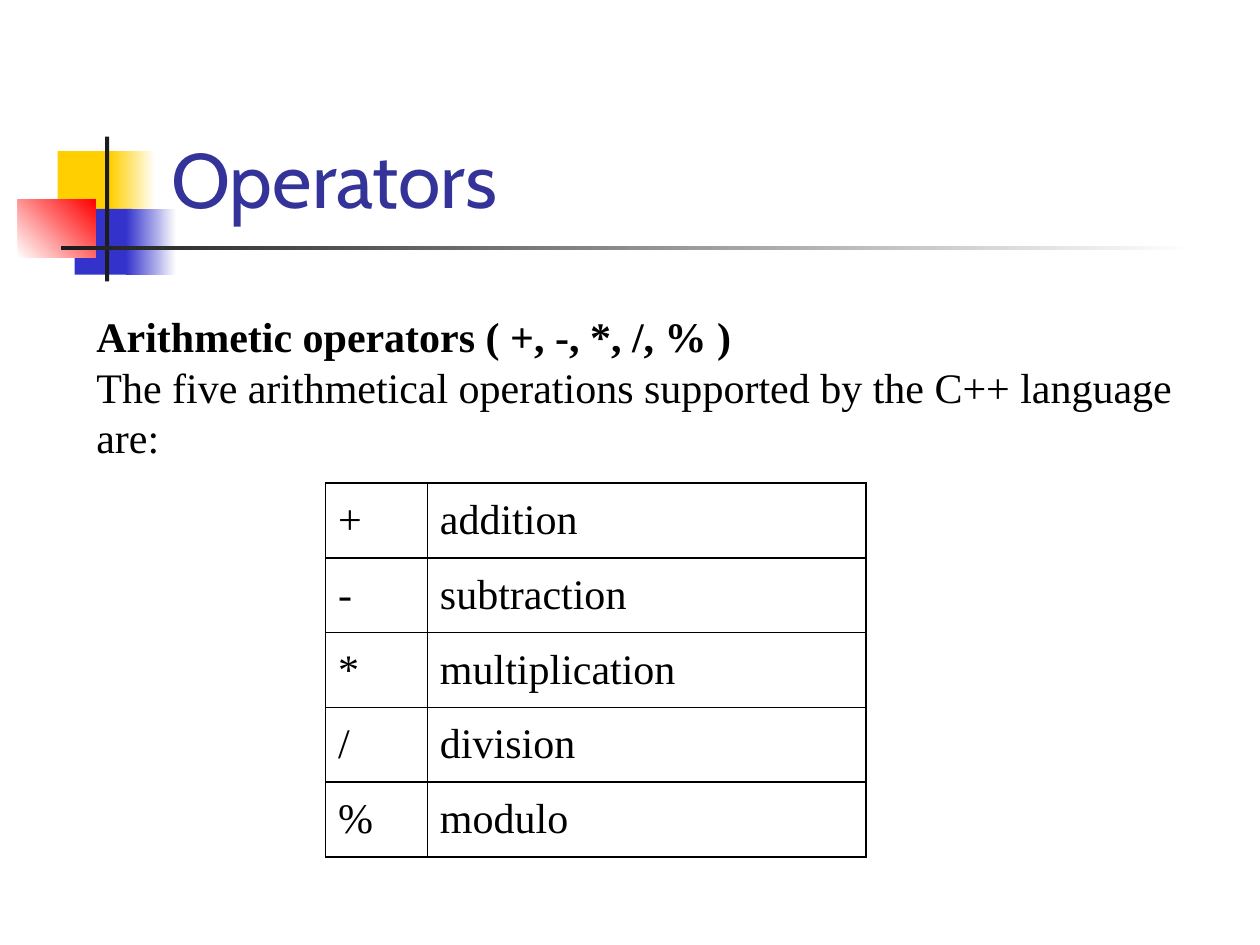
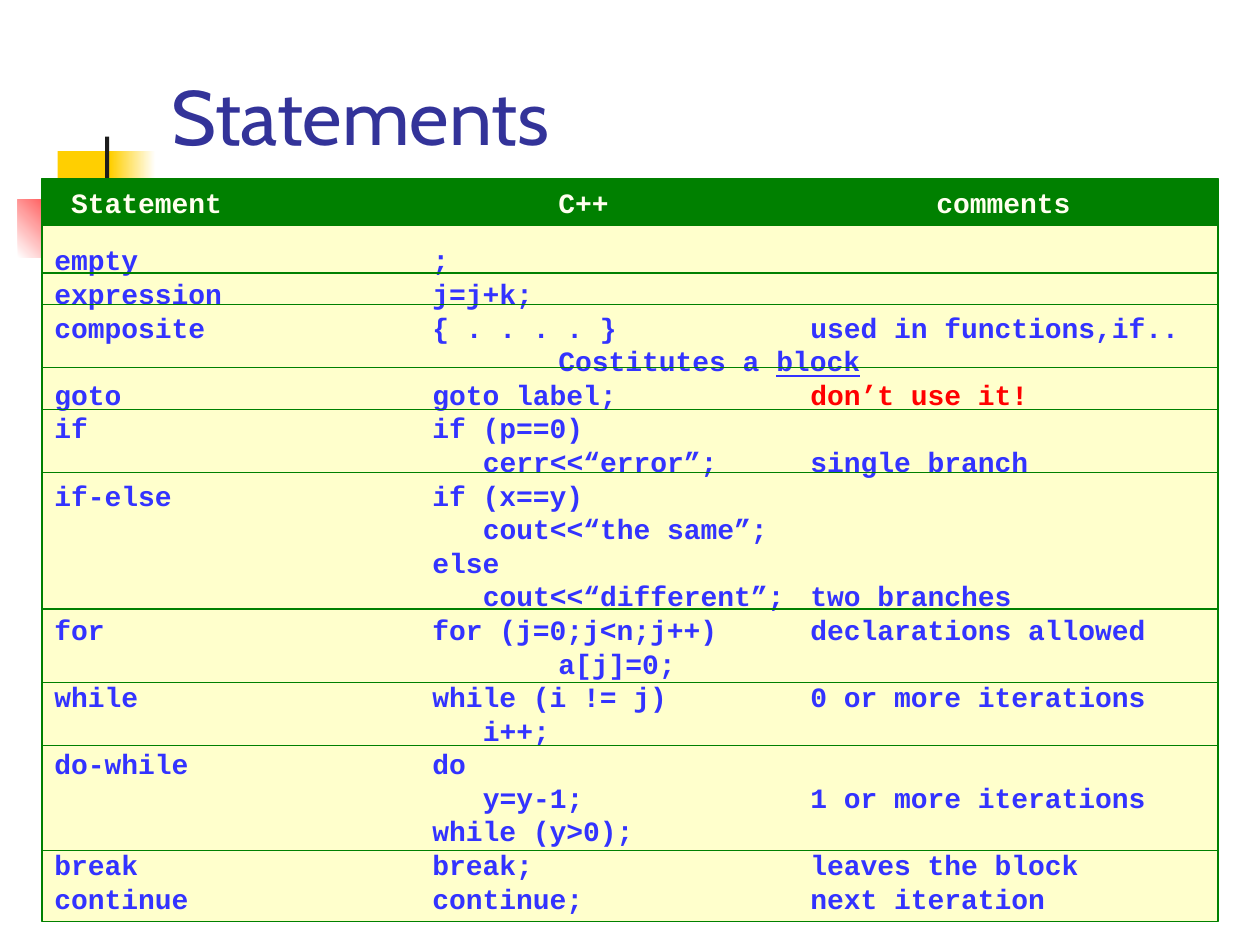
"""Build two slides on C++ operators and statements, on a grid of 120 by 90 cells."""
from dataclasses import dataclass

from lxml import etree
from pptx import Presentation
from pptx import util as u
from pptx.dml.color import RGBColor
from pptx.enum import shapes, text
from pptx.oxml.ns import qn

COLS, ROWS = 120, 90
GOLD, BLUE, RED, DARK, WHITE = "FFCF01", "3333CC", "FF0000", "1C1C1C", "FFFFFF"
INK, NAVY, CODE = "000000", "333399", "3333FF"
GREEN, CREAM, PALE = "008000", "FFFFCC", "FFFFEF"
SERIF, MONO, HEAD = "Times New Roman", "Courier New", "Cabin"


@dataclass(frozen=True)
class Box:
    left: float
    top: float
    width: float
    height: float


@dataclass(frozen=True)
class Block:
    box: Box
    hue: str
    fade: str = ""
    angle: int = 0
    lower: bool = False


@dataclass(frozen=True)
class Style:
    font: str
    size: int
    hue: str
    bold: bool = False
    under: bool = False


@dataclass(frozen=True)
class Line:
    name: str = ""
    code: str = ""
    note: str = ""
    dent: float = 0
    tail: str = ""
    hue: str = CODE


BLOCKS = [
    Block(Box(5.5, 14.4, 5.8, 6.25), GOLD),
    Block(Box(10.5, 14.4, 4.3, 6.25), GOLD, WHITE),
    Block(Box(7.1, 19.9, 5.5, 6.25), BLUE, lower=True),
    Block(Box(12, 19.9, 4.8, 6.25), BLUE, WHITE, lower=True),
    Block(Box(1.7, 19, 7.4, 5.55), WHITE, RED, 45),
    Block(Box(10, 13, 0.4, 13.8), DARK),
    Block(Box(5.8, 23.4, 108, 0.4), DARK, WHITE, lower=True),
]
SIGNS = [
    ("+", "addition"), ("-", "subtraction"), ("*", "multiplication"),
    ("/", "division"), ("%", "modulo"),
]
STEP, DEEP = 4.8, 12
LINES = [
    Line("empty", ";"),
    Line("expression", "j=j+k;"),
    Line("composite", "{ . . . . }", "used in functions,if.."),
    Line(code="Costitutes a ", dent=DEEP, tail="block"),
    Line("goto", "goto label;", "don’t use it!", hue=RED),
    Line("if", "if (p==0)"),
    Line(code="cerr<<“error”;", note="single branch", dent=STEP),
    Line("if-else", "if (x==y)"),
    Line(code="cout<<“the same”;", dent=STEP),
    Line(code="else"),
    Line(code="cout<<“different”;", note="two branches", dent=STEP),
    Line("for", "for (j=0;j<n;j++)", "declarations allowed"),
    Line(code="a[j]=0;", dent=DEEP),
    Line("while", "while (i != j)", "0 or more iterations"),
    Line(code="i++;", dent=STEP),
    Line("do-while", "do"),
    Line(code="y=y-1;", note="1 or more iterations", dent=STEP),
    Line(code="while (y>0);"),
    Line("break", "break;", "leaves the block"),
    Line("continue", "continue;", "next iteration"),
]
RULES = [26, 29, 35, 39, 45, 58, 65, 71, 81]
SHEET = Box(4, 19, 112, 68.75)
BAND = Box(4, 17, 112, 4.5)
SECOND, THIRD = 36, 72


def unit(count: float) -> int:
    """Turn grid cells into a length."""
    return u.Inches(count / 12)


def place(box: Box) -> list[int]:
    """Turn a grid box into left, top, width and height."""
    return [unit(n) for n in (box.left, box.top, box.width, box.height)]


def paint(color, hue: str) -> None:
    """Set a colour from a hex string."""
    color.rgb = RGBColor.from_string(hue)


def write(para, words: str, style: Style) -> None:
    """Add one styled run to a paragraph."""
    run = para.add_run()
    run.text = words
    font = run.font
    font.name, font.size = style.font, u.Pt(style.size)
    font.bold, font.underline = style.bold, style.under
    paint(font.color, style.hue)


def start(frame, size: int, stops: tuple[float, ...] = ()):
    """Open a left-aligned paragraph with its line pitch and tab stops."""
    para = frame.paragraphs[0]
    if para.runs:
        para = frame.add_paragraph()
    para.alignment = text.PP_ALIGN.LEFT
    para.line_spacing = u.Pt(round(size * 1.2, 1))
    if stops:
        tabs = etree.SubElement(para._p.get_or_add_pPr(), qn("a:tabLst"))
        for stop in stops:
            etree.SubElement(tabs, qn("a:tab"), pos=str(unit(stop)), algn="l")
    return para


def plate(host, box: Box, hue: str, edge: str = ""):
    """Draw a flat rectangle."""
    shape = host.add_shape(shapes.MSO_SHAPE.RECTANGLE, *place(box))
    shape.shadow.inherit = False
    shape.fill.solid()
    paint(shape.fill.fore_color, hue)
    if edge:
        paint(shape.line.color, edge)
        shape.line.width = u.Pt(0.75)
    else:
        shape.line.fill.background()
    return shape


def decor(slide, lower: bool) -> None:
    """Draw the corner blocks, with the lower ones if wanted."""
    for block in BLOCKS:
        if block.lower and not lower:
            continue
        shape = plate(slide.shapes, block.box, block.hue)
        if block.fade:
            shape.fill.gradient()
            shape.fill.gradient_angle = block.angle
            for stop, hue in zip(shape.fill.gradient_stops, (block.hue, block.fade)):
                paint(stop.color, hue)


def begin(deck, words: str, height: float, lower: bool):
    """Add a slide with its title and corner blocks."""
    slide = deck.slides.add_slide(deck.slide_layouts[5])
    decor(slide, lower)
    title = slide.shapes.title
    title.left, title.top, title.width, title.height = place(
        Box(15.1, 2.75, 102.25, height))
    frame = title.text_frame
    frame.auto_size = text.MSO_AUTO_SIZE.NONE
    frame.vertical_anchor = text.MSO_ANCHOR.BOTTOM
    para = frame.paragraphs[0]
    para.alignment = text.PP_ALIGN.LEFT
    write(para, words, Style(HEAD, 44, NAVY))
    return slide


def border(cell) -> None:
    """Give a cell a thin line on each side and no fill."""
    props = cell._tc.get_or_add_tcPr()
    for side in "LRTB":
        line = etree.SubElement(props, qn(f"a:ln{side}"), w=str(u.Pt(1)))
        fill = etree.SubElement(line, qn("a:solidFill"))
        etree.SubElement(fill, qn("a:srgbClr"), val=INK)
    cell.fill.background()


def signs(slide) -> None:
    """Draw the table of operators."""
    widths, height = (9.7, 41.8), 7.12
    box = Box(31, 46, sum(widths), height * len(SIGNS))
    table = slide.shapes.add_table(len(SIGNS), len(widths), *place(box)).table
    table.first_row = table.horz_banding = False
    for col, width in zip(table.columns, widths):
        col.width = unit(width)
    for row, pair in zip(table.rows, SIGNS):
        row.height = unit(height)
        for cell, words in zip(row.cells, pair):
            border(cell)
            cell.vertical_anchor = text.MSO_ANCHOR.MIDDLE
            write(cell.text_frame.paragraphs[0], words, Style(SERIF, 24, INK))


def maths(deck) -> None:
    """Build the slide on operators."""
    slide = begin(deck, "Operators", 19.2, True)
    frame = slide.shapes.add_textbox(*place(Box(8, 29, 106, 20.4))).text_frame
    frame.word_wrap = True
    write(start(frame, 24), "Arithmetic operators ( +, -, *, /, % )",
          Style(SERIF, 24, INK, True))
    write(start(frame, 24),
          "The five arithmetical operations supported by the C++ language are:",
          Style(SERIF, 24, INK))
    signs(slide)


def listing(frame) -> None:
    """Write the statements in three tabbed columns."""
    style = Style(MONO, 16, CODE, True)
    for line in LINES:
        para = start(frame, 16, (SECOND + line.dent, THIRD))
        write(para, f"{line.name}\t{line.code}", style)
        if line.tail:
            write(para, line.tail, Style(MONO, 16, CODE, True, True))
        if line.note:
            write(para, f"\t{line.note}", Style(MONO, 16, line.hue, True))


def flow(deck) -> None:
    """Build the slide on statements."""
    slide = begin(deck, "Statements", 13.2, False)
    host = slide.shapes.add_group_shape().shapes
    frame = plate(host, SHEET, CREAM, GREEN).text_frame
    frame.word_wrap = True
    frame.vertical_anchor = text.MSO_ANCHOR.TOP
    frame.margin_top = unit(4.15)
    listing(frame)
    frame = plate(host, BAND, GREEN, GREEN).text_frame
    frame.word_wrap = True
    frame.vertical_anchor = text.MSO_ANCHOR.MIDDLE
    para = start(frame, 16, (1.6, SECOND + DEEP, THIRD + DEEP))
    write(para, "\tStatement\tC++\tcomments", Style(MONO, 16, PALE, True))
    left, right = unit(SHEET.left), unit(SHEET.left + SHEET.width)
    for row in RULES:
        rule = host.add_connector(
            shapes.MSO_CONNECTOR.STRAIGHT, left, unit(row), right, unit(row))
        paint(rule.line.color, GREEN)
        rule.line.width = u.Pt(0.75)
        etree.SubElement(rule._element.spPr, qn("a:effectLst"))


def main() -> None:
    """Build and save the deck."""
    deck = Presentation()
    deck.slide_width, deck.slide_height = unit(COLS), unit(ROWS)
    maths(deck)
    flow(deck)
    deck.save("out.pptx")


if __name__ == "__main__":
    main()
